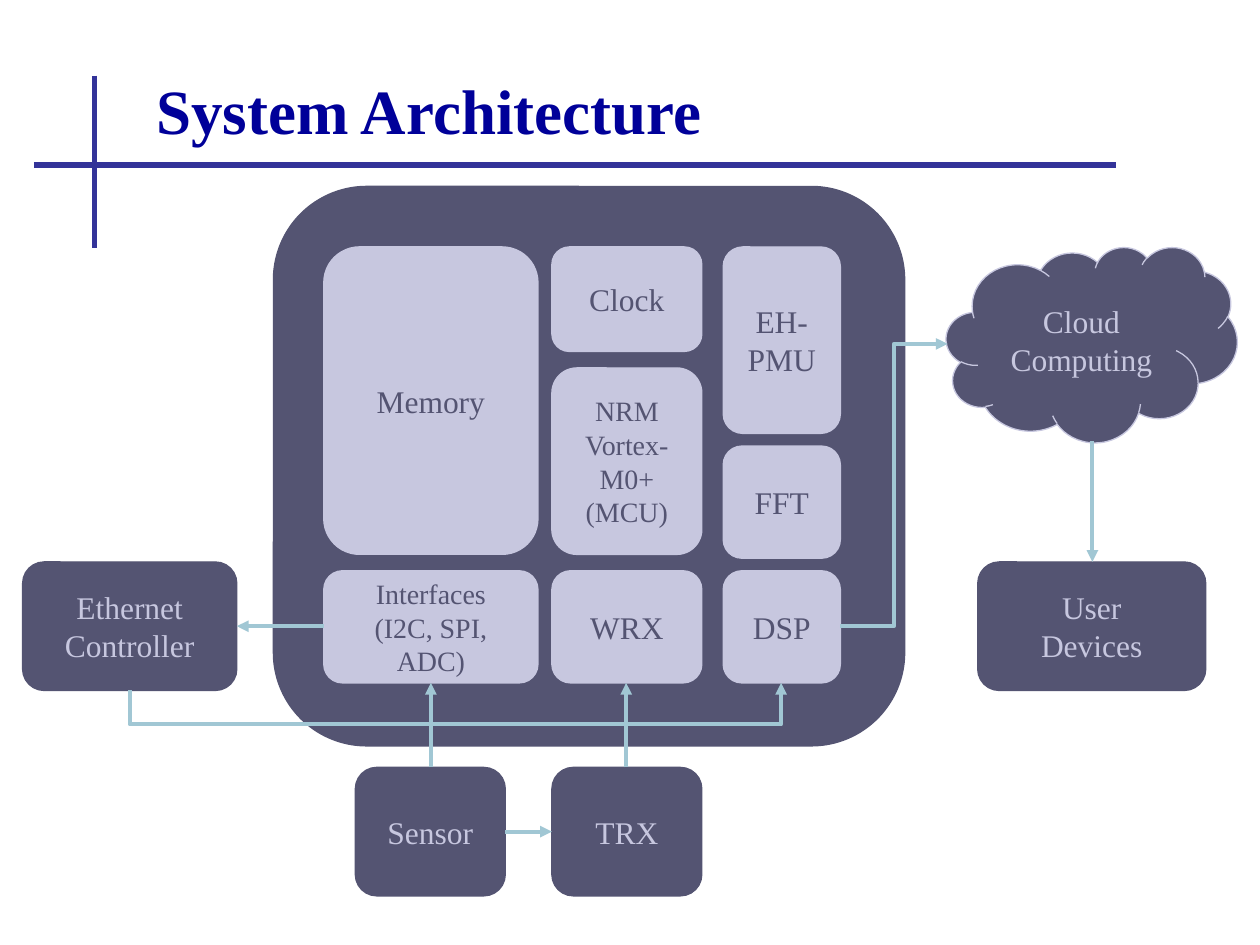
from lxml import etree
from pptx import Presentation
from pptx.dml.color import RGBColor
from pptx.enum import shapes, text
from pptx.oxml import ns
from pptx.util import Inches, Pt

FONT = "Times New Roman"
DARK, LIGHT, ARROW = "545472", "C7C7DF", "A1C7D4"
RULE, TITLE = "333399", "000099"

CHIP_COLUMNS = [(2.57, 1.7), (4.38, 1.19), (5.74, 0.93)]
CHIP_BLOCKS = [
    (0, 1.96, 2.44, "Memory", 18),
    (1, 1.96, 0.83, "Clock", 18),
    (1, 2.92, 1.48, "NRM Vortex-M0+\n(MCU)", 16),
    (2, 1.96, 1.48, "EH-\nPMU", 18),
    (2, 3.54, 0.89, "FFT", 18),
    (0, 4.53, 0.89, "Interfaces\n(I2C, SPI, ADC)", 16),
    (1, 4.53, 0.89, "WRX", 18),
    (2, 4.53, 0.89, "DSP", 18),
]
OUTER_BLOCKS = [
    (2.82, 6.09, 1.19, "Sensor"),
    (4.38, 6.09, 1.19, "TRX"),
    (0.18, 4.46, 1.7, "Ethernet Controller"),
    (7.76, 4.46, 1.81, "User\nDevices"),
]
STRAIGHT_ARROWS = [
    ((3.42, 6.09), (3.42, 5.42)),
    ((4.97, 6.09), (4.97, 5.42)),
    ((4.01, 6.6), (4.38, 6.6)),
    ((2.57, 4.97), (1.88, 4.97)),
    ((8.67, 3.5), (8.67, 4.46)),
]


def color(value):
    return RGBColor.from_string(value)


def add_title(page, words):
    title = page.shapes.title
    title.left, title.top = Inches(1.14), Inches(0.36)
    title.width, title.height = Inches(8.11), Inches(1.02)
    frame = title.text_frame
    frame.text = words
    frame.vertical_anchor = text.MSO_ANCHOR.MIDDLE
    para = frame.paragraphs[0]
    para.alignment = text.PP_ALIGN.LEFT
    para.font.name, para.font.size, para.font.bold = FONT, Pt(36), True
    para.font.color.rgb = color(TITLE)


def add_block(page, place, words="", size=18, fill=DARK, ink=LIGHT, edge=None,
              kind=shapes.MSO_SHAPE.ROUNDED_RECTANGLE):
    box = page.shapes.add_shape(kind, *map(Inches, place))
    box.shadow.inherit = False
    box.fill.solid()
    box.fill.fore_color.rgb = color(fill)
    box.line.color.rgb = color(edge or fill)
    box.line.width = Pt(0.75)
    frame = box.text_frame
    frame.word_wrap = True
    frame.vertical_anchor = text.MSO_ANCHOR.MIDDLE
    frame.margin_left = frame.margin_right = Inches(0.1)
    frame.margin_top = frame.margin_bottom = Inches(0.1)
    frame.text = words
    for para in frame.paragraphs:
        para.alignment = text.PP_ALIGN.CENTER
        para.font.name, para.font.size = FONT, Pt(size)
        para.font.color.rgb = color(ink)


def add_line(page, start, end, ink, width, kind=shapes.MSO_CONNECTOR.STRAIGHT):
    line = page.shapes.add_connector(kind, *map(Inches, start + end))
    line.line.color.rgb = color(ink)
    line.line.width = Pt(width)
    etree.SubElement(line._element.spPr, ns.qn("a:effectLst"))
    return line


def add_arrow(page, start, end, kind=shapes.MSO_CONNECTOR.STRAIGHT):
    arrow = add_line(page, start, end, ARROW, 2.25, kind)
    outline = arrow.line._get_or_add_ln()
    etree.SubElement(outline, ns.qn("a:tailEnd"), type="triangle")
    return arrow


def add_under_arrow(page, start, end, bend_y):
    (x1, y1), (x2, y2) = start, end
    center_x, center_y = (x1 + x2) / 2, (y1 + y2) / 2
    rise, run = y1 - y2, x2 - x1
    arrow = add_arrow(page, (center_x - rise / 2, center_y - run / 2),
                      (center_x + rise / 2, center_y + run / 2),
                      shapes.MSO_CONNECTOR.ELBOW)
    properties = arrow._element.spPr
    properties.find(ns.qn("a:xfrm")).set("rot", str(270 * 60000))
    guides = properties.find(ns.qn("a:prstGeom")).find(ns.qn("a:avLst"))
    bend = round((y1 - bend_y) / rise * 100000)
    etree.SubElement(guides, ns.qn("a:gd"), name="adj1", fmla=f"val {bend}")


def main():
    deck = Presentation()
    deck.slide_width, deck.slide_height = Inches(10), Inches(7.5)
    page = deck.slides.add_slide(deck.slide_layouts[5])
    add_line(page, (0.27, 1.31), (8.86, 1.31), RULE, 3)
    add_line(page, (0.75, 0.6), (0.75, 1.97), RULE, 3)
    add_title(page, "System Architecture")
    add_block(page, (2.17, 1.48, 5.01, 4.44))
    for column, top, height, words, size in CHIP_BLOCKS:
        left, width = CHIP_COLUMNS[column]
        add_block(page, (left, top, width, height), words, size, LIGHT, DARK)
    for left, top, width, words in OUTER_BLOCKS:
        add_block(page, (left, top, width, 1.02), words)
    add_block(page, (7.51, 1.96, 2.31, 1.55), "Cloud Computing", edge=LIGHT,
              kind=shapes.MSO_SHAPE.CLOUD)
    for start, end in STRAIGHT_ARROWS:
        add_arrow(page, start, end)
    add_arrow(page, (6.67, 4.97), (7.52, 2.73), shapes.MSO_CONNECTOR.ELBOW)
    add_under_arrow(page, (1.03, 5.48), (6.2, 5.42), 5.75)
    deck.save("out.pptx")


if __name__ == "__main__":
    main()
